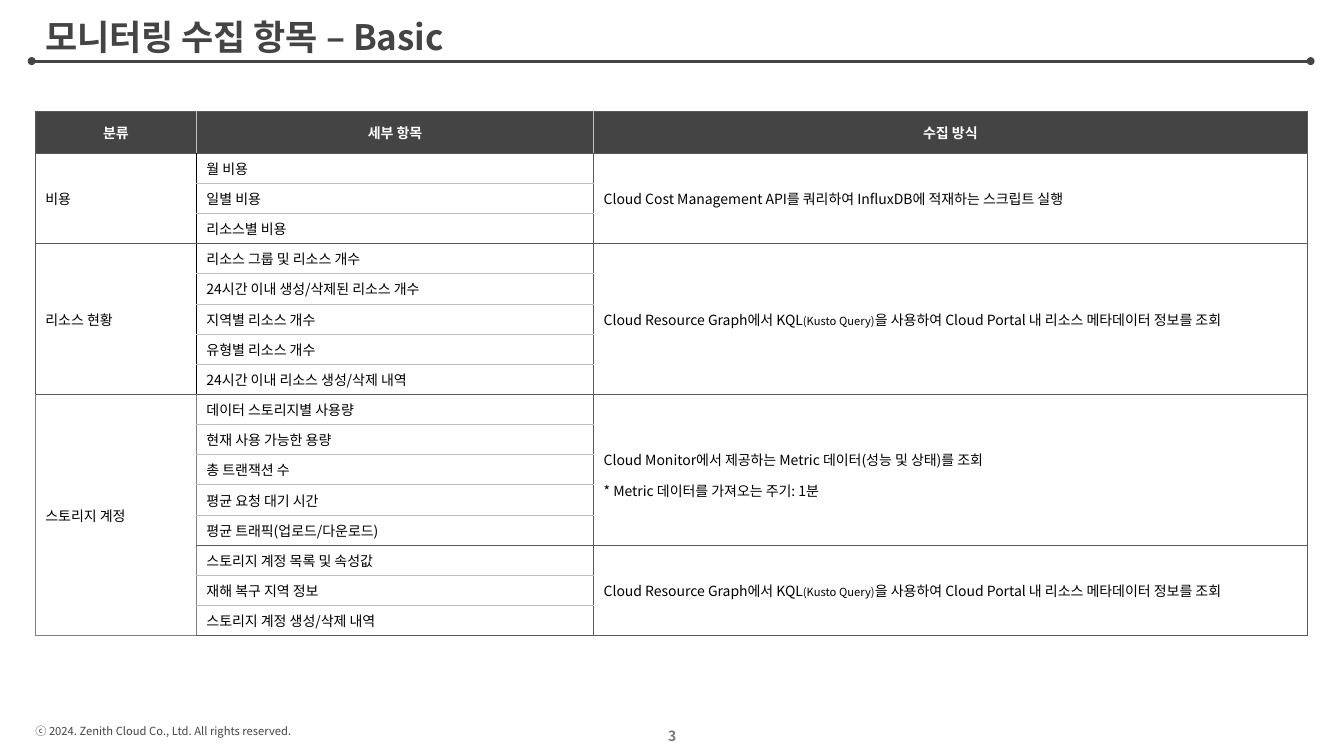
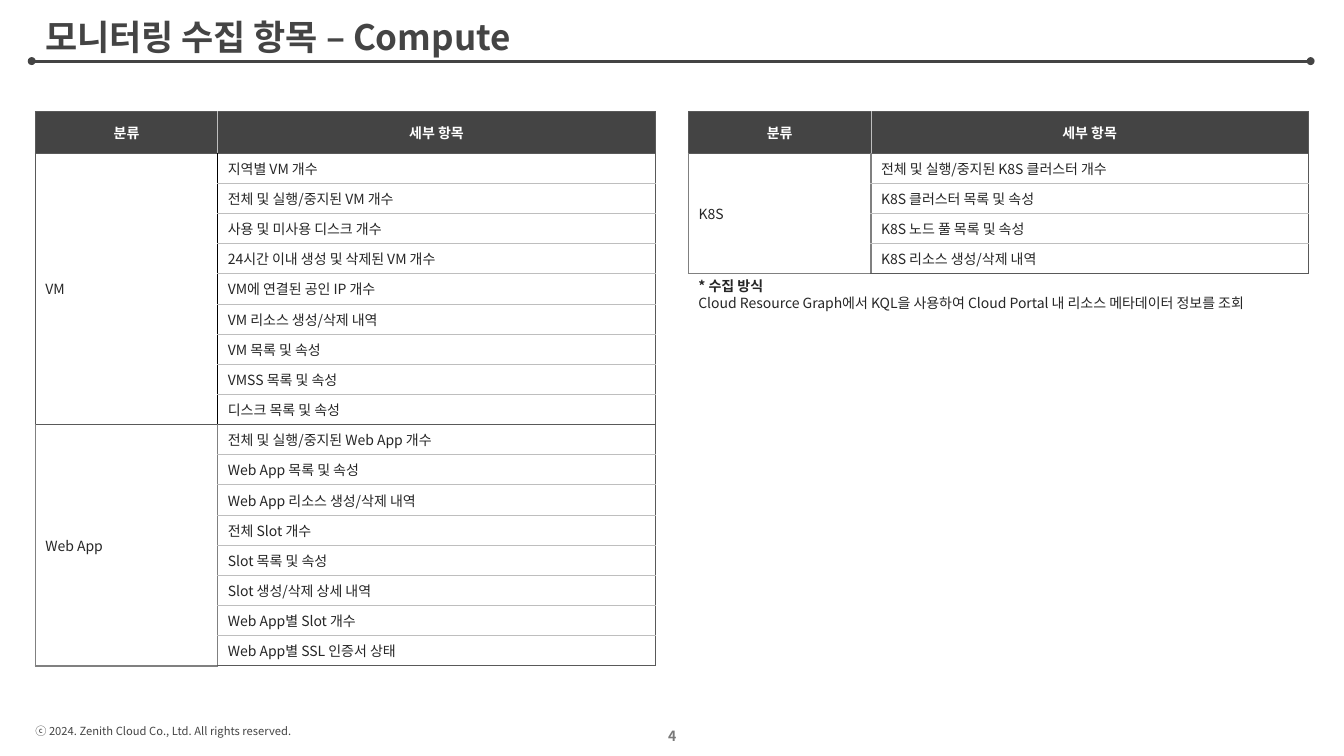
from lxml import etree
from pptx import Presentation
from pptx.dml.color import RGBColor
from pptx.enum.shapes import MSO_CONNECTOR as Connector, MSO_SHAPE as Shape
from pptx.enum.text import MSO_ANCHOR as Anchor, PP_ALIGN as Align
from pptx.oxml import parse_xml
from pptx.oxml.ns import nsdecls, qn
from pptx.util import Cm, Pt

FONT = "Noto Sans CJK KR"
CHARCOAL = RGBColor(0x44, 0x44, 0x44)
PAGE_GREY = RGBColor(0x79, 0x79, 0x79)
WHITE = RGBColor(0xFF, 0xFF, 0xFF)
BLACK = RGBColor(0, 0, 0)
INK = RGBColor(0x26, 0x26, 0x26)
DARK = (RGBColor(0x59, 0x59, 0x59), 0.75)
LIGHT = (RGBColor(0xBE, 0xBE, 0xBE), 0.75)
THIN = (BLACK, 0.5)
GREY = (RGBColor(0x80, 0x80, 0x80), 1)

LEFT, TABLE_TOP, CONTENT_WIDTH = 0.89, 2.82, 32.05
HEADER_HEIGHT, ROW_HEIGHT = 1.04, 0.76
HALF_WIDTH, RIGHT_HALF = 15.62, 17.35

GRAPH_QUERY = [[
    ("Cloud Resource Graph에서 KQL", 10),
    ("(Kusto Query)", 8),
    ("을 사용하여 Cloud Portal 내 리소스 메타데이터 정보를 조회", 10),
]]

# Each group: name, style of its side line, blocks of (items, method).
BASIC_GROUPS = [
    ("비용", THIN, [
        (["월 비용", "일별 비용", "리소스별 비용"],
         [[("Cloud Cost Management API를 쿼리하여 InfluxDB에 적재하는 스크립트 실행", 10)]]),
    ]),
    ("리소스 현황", THIN, [
        (["리소스 그룹 및 리소스 개수", "24시간 이내 생성/삭제된 리소스 개수",
          "지역별 리소스 개수", "유형별 리소스 개수",
          "24시간 이내 리소스 생성/삭제 내역"], GRAPH_QUERY),
    ]),
    ("스토리지 계정", GREY, [
        (["데이터 스토리지별 사용량", "현재 사용 가능한 용량", "총 트랜잭션 수",
          "평균 요청 대기 시간", "평균 트래픽(업로드/다운로드)"],
         [[("Cloud Monitor에서 제공하는 Metric 데이터(성능 및 상태)를 조회", 10)],
          [("* Metric 데이터를 가져오는 주기: 1분", 10)]]),
        (["스토리지 계정 목록 및 속성값", "재해 복구 지역 정보",
          "스토리지 계정 생성/삭제 내역"], GRAPH_QUERY),
    ]),
]
COMPUTE_GROUPS = [
    ("VM", THIN, [
        (["지역별 VM 개수", "전체 및 실행/중지된 VM 개수", "사용 및 미사용 디스크 개수",
          "24시간 이내 생성 및 삭제된 VM 개수", "VM에 연결된 공인 IP 개수",
          "VM 리소스 생성/삭제 내역", "VM 목록 및 속성", "VMSS 목록 및 속성",
          "디스크 목록 및 속성"], None),
    ]),
    ("Web App", GREY, [
        (["전체 및 실행/중지된 Web App 개수", "Web App 목록 및 속성",
          "Web App 리소스 생성/삭제 내역", "전체 Slot 개수", "Slot 목록 및 속성",
          "Slot 생성/삭제 상세 내역", "Web App별 Slot 개수",
          "Web App별 SSL 인증서 상태"], None),
    ]),
]
CLUSTER_GROUPS = [
    ("K8S", GREY, [
        (["전체 및 실행/중지된 K8S 클러스터 개수", "K8S 클러스터 목록 및 속성",
          "K8S 노드 풀 목록 및 속성", "K8S 리소스 생성/삭제 내역"], None),
    ]),
]


def add_span(para, text, size, color, bold=False):
    span = para.add_run()
    span.text = text
    span.font.size = Pt(size)
    span.font.bold = bold
    span.font.color.rgb = color
    span.font.name = FONT
    east_asian = etree.SubElement(span.font._element, qn("a:ea"))
    east_asian.set("typeface", FONT)


def add_box(page, left, top, width, height, anchor=Anchor.TOP, wrap=True):
    box = page.shapes.add_textbox(Cm(left), Cm(top), Cm(width), Cm(height))
    frame = box.text_frame
    frame.word_wrap = wrap
    frame.vertical_anchor = anchor
    return frame


def add_frame(page, title, number):
    """Title, rule with round ends, copyright line and page number."""
    para = add_box(page, LEFT, 0.43, CONTENT_WIDTH, 1.12, Anchor.MIDDLE).paragraphs[0]
    para.line_spacing = 0.9
    add_span(para, title, 25, CHARCOAL, True)

    start, end, rule_y, dot = 0.8, 33.03, 1.54, 0.2
    rule = page.shapes.add_connector(
        Connector.STRAIGHT, Cm(start), Cm(rule_y), Cm(end), Cm(rule_y))
    rule.line.color.rgb = CHARCOAL
    rule.line.width = Pt(2.25)
    etree.SubElement(rule._element.spPr, qn("a:effectLst"))
    for center in (start, end):
        knob = page.shapes.add_shape(
            Shape.FLOWCHART_CONNECTOR, Cm(center - dot / 2), Cm(rule_y - dot / 2),
            Cm(dot), Cm(dot))
        knob.shadow.inherit = False
        knob.fill.solid()
        knob.fill.fore_color.rgb = CHARCOAL
        knob.line.fill.background()

    para = add_box(page, 0.64, 18.14, 7.06, 0.6, wrap=False).paragraphs[0]
    add_span(para, "ⓒ 2024. Zenith Cloud Co., Ltd. All rights reserved.", 8, CHARCOAL)
    para = add_box(page, 13.13, 18.03, 7.62, 1.02, Anchor.MIDDLE).paragraphs[0]
    para.alignment = Align.CENTER
    add_span(para, str(number), 10, PAGE_GREY, True)


def set_borders(cell, left, right, top, bottom):
    properties = cell._tc.get_or_add_tcPr()
    sides = zip(("lnL", "lnR", "lnT", "lnB"), (left, right, top, bottom))
    for index, (tag, (color, width)) in enumerate(sides):
        properties.insert(index, parse_xml(
            f'<a:{tag} {nsdecls("a")} w="{Pt(width)}"><a:solidFill>'
            f'<a:srgbClr val="{color}"/></a:solidFill></a:{tag}>'))


def fill_cell(cell, paragraphs, color, spacing=None):
    cell.vertical_anchor = Anchor.MIDDLE
    frame = cell.text_frame
    for index, spans in enumerate(paragraphs):
        para = frame.add_paragraph() if index else frame.paragraphs[0]
        if spacing:
            para.line_spacing = spacing
        for text, size in spans:
            add_span(para, text, size, color)


def merge_rows(grid, column, first, last, borders):
    """Join cells of one column, bordered as one, and return the joined cell."""
    for row in range(first, last + 1):
        cell = grid.cell(row, column)
        cell.fill.background()
        set_borders(cell, *borders)
    origin = grid.cell(first, column)
    origin.merge(grid.cell(last, column))
    return origin


def add_header(grid, headings):
    last = len(headings) - 1
    for column, heading in enumerate(headings):
        cell = grid.cell(0, column)
        cell.fill.solid()
        cell.fill.fore_color.rgb = CHARCOAL
        cell.vertical_anchor = Anchor.MIDDLE
        set_borders(cell, LIGHT if column else DARK,
                    LIGHT if column < last else DARK, DARK, DARK)
        para = cell.text_frame.paragraphs[0]
        para.alignment = Align.CENTER
        add_span(para, heading, 10, WHITE, True)


def add_item_table(page, left, top, widths, headings, groups, color):
    """Grouped items, with a method column when three headings are given."""
    item_count = sum(len(items) for _, _, blocks in groups for items, _ in blocks)
    height = HEADER_HEIGHT + ROW_HEIGHT * item_count
    grid = page.shapes.add_table(
        item_count + 1, len(widths), Cm(left), Cm(top), Cm(sum(widths)), Cm(height)).table
    grid.first_row = grid.horz_banding = False
    for column, width in zip(grid.columns, widths):
        column.width = Cm(width)
    for index, row in enumerate(grid.rows):
        row.height = Cm(ROW_HEIGHT if index else HEADER_HEIGHT)
    add_header(grid, headings)

    row = 1
    for name, side, blocks in groups:
        group_start = row
        for items, method in blocks:
            block_start, block_end = row, row + len(items) - 1
            for item in items:
                cell = grid.cell(row, 1)
                cell.fill.background()
                set_borders(cell, side, DARK,
                            DARK if row == block_start else LIGHT,
                            DARK if row == block_end else LIGHT)
                fill_cell(cell, [[(item, 10)]], color)
                row += 1
            if method:
                cell = merge_rows(grid, 2, block_start, block_end, [DARK] * 4)
                fill_cell(cell, method, color, 1.5 if len(method) > 1 else None)
        outer = GREY if side == GREY else DARK
        cell = merge_rows(grid, 0, group_start, row - 1, (outer, side, DARK, outer))
        fill_cell(cell, [[(name, 10)]], color)


def add_method_note(page, left, top, width):
    frame = add_box(page, left, top, width, 1.12)
    add_span(frame.paragraphs[0], "* 수집 방식", 10, INK, True)
    add_span(frame.add_paragraph(),
             "Cloud Resource Graph에서 KQL을 사용하여 Cloud Portal 내 리소스 메타데이터 정보를 조회",
             10, INK)


def build_basic(page):
    add_frame(page, "모니터링 수집 항목 – Basic", 3)
    add_item_table(page, LEFT, TABLE_TOP, (4.06, 10.01, 17.98),
                   ("분류", "세부 항목", "수집 방식"), BASIC_GROUPS, BLACK)


def build_compute(page):
    add_frame(page, "모니터링 수집 항목 – Compute", 4)
    group_width = 4.6
    widths = (group_width, HALF_WIDTH - group_width)
    for left, groups in ((LEFT, COMPUTE_GROUPS), (RIGHT_HALF, CLUSTER_GROUPS)):
        add_item_table(page, left, TABLE_TOP, widths, ("분류", "세부 항목"), groups, INK)
    add_method_note(page, RIGHT_HALF, 6.88, HALF_WIDTH)


def main():
    deck = Presentation()
    deck.slide_width, deck.slide_height = Cm(33.87), Cm(19.05)
    for build in (build_basic, build_compute):
        build(deck.slides.add_slide(deck.slide_layouts[6]))
    deck.save("out.pptx")


if __name__ == "__main__":
    main()
